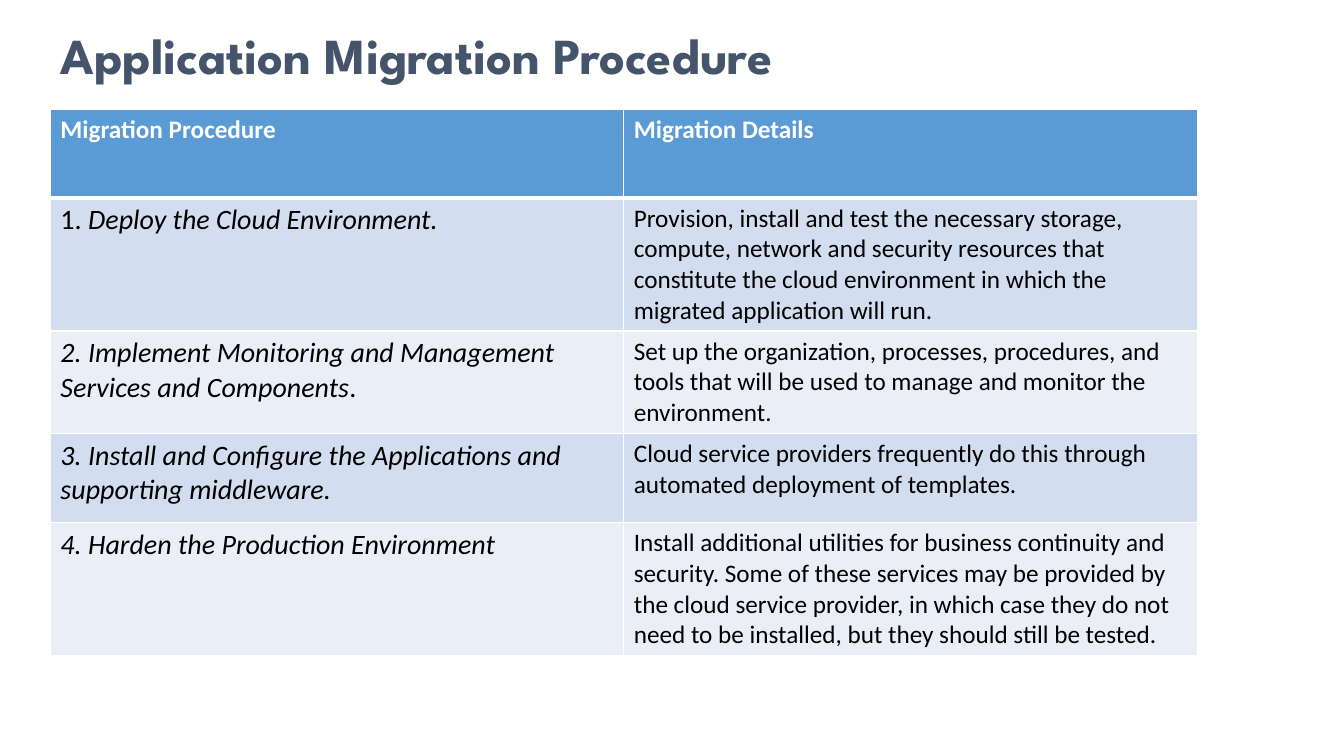
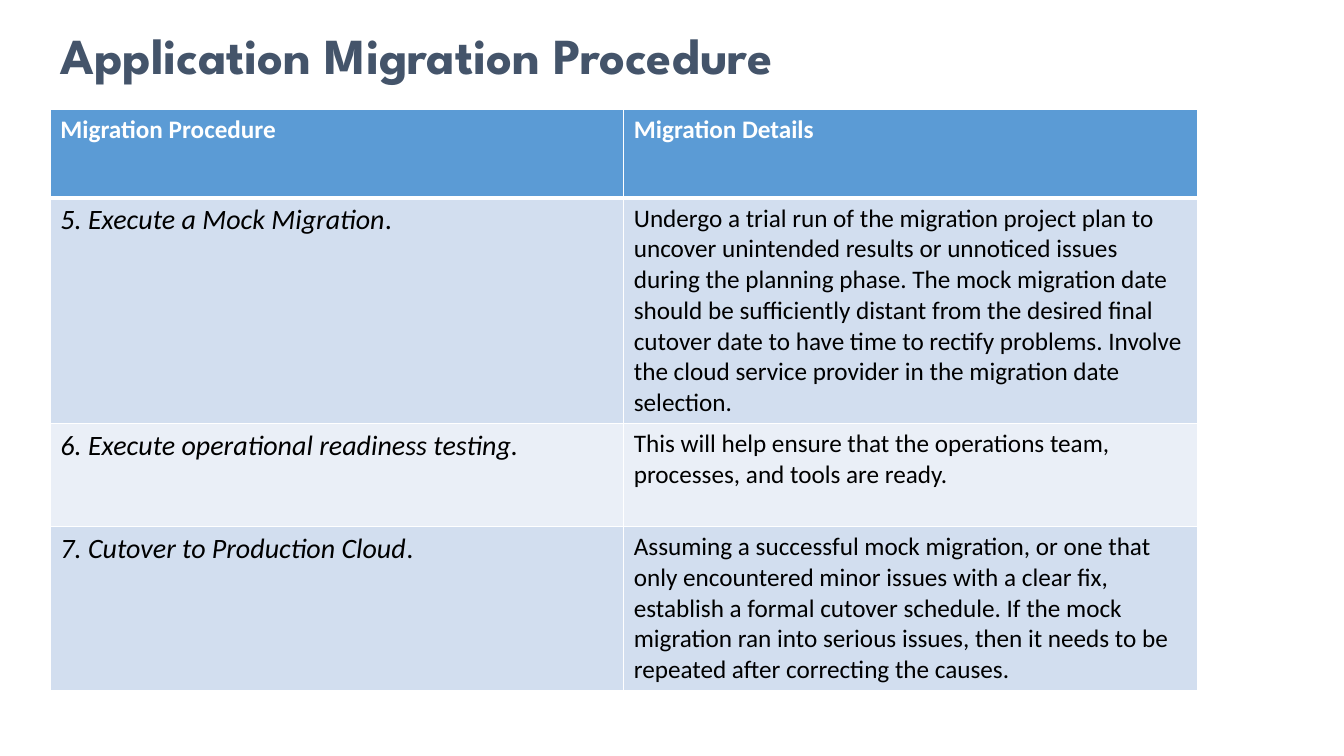
from dataclasses import dataclass

from lxml import etree
from pptx import Presentation
from pptx.dml.color import RGBColor
from pptx.enum import text
from pptx.oxml import ns
from pptx.util import Cm, Pt

# Shared look
SLATE = RGBColor(0x44, 0x54, 0x6A)
BLUE = RGBColor(0x5B, 0x9B, 0xD5)
BAND_DARK = RGBColor(0xD2, 0xDE, 0xEF)
BAND_LIGHT = RGBColor(0xEA, 0xEF, 0xF7)
WHITE = RGBColor(0xFF, 0xFF, 0xFF)
BLACK = RGBColor(0, 0, 0)
TITLE_FONT, BODY_FONT = "League Spartan", "Calibri"

TITLE = "Application Migration Procedure"
HEADINGS = ("Migration Procedure", "Migration Details")
LEFT, TABLE_TOP = Cm(1.27), Cm(2.75)
COLUMN_WIDTH, ROW_HEIGHT = Cm(14.45), Cm(2.24)
THIN, THICK = Pt(1), Pt(3)


@dataclass(frozen=True)
class Span:
    text: str
    italic: bool = False


@dataclass(frozen=True)
class Step:
    name: tuple[Span, ...]
    details: str
    height: int = ROW_HEIGHT


PAGES = (
    (
        Step((Span("1. "), Span("Deploy the Cloud Environment.", True)),
             "Provision, install and test the necessary storage, compute, network and "
             "security resources that constitute the cloud environment in which the "
             "migrated application will run.", Cm(3.35)),
        Step((Span("2. Implement Monitoring and Management Services and Components", True),
              Span(".")),
             "Set up the organization, processes, procedures, and tools that will be "
             "used to manage and monitor the environment.", Cm(2.59)),
        Step((Span("3. Install and Configure the Applications and supporting middleware.", True),),
             "Cloud service providers frequently do this through automated deployment "
             "of templates."),
        Step((Span("4. Harden the Production Environment", True),),
             "Install additional utilities for business continuity and security. Some of "
             "these services may be provided by the cloud service provider, in which case "
             "they do not need to be installed, but they should still be tested.", Cm(3.35)),
    ),
    (
        Step((Span("5. Execute a Mock Migration", True), Span(".")),
             "Undergo a trial run of the migration project plan to uncover unintended "
             "results or unnoticed issues during the planning phase. The mock migration "
             "date should be sufficiently distant from the desired final cutover date to "
             "have time to rectify problems. Involve the cloud service provider in the "
             "migration date selection.", Cm(5.69)),
        Step((Span("6. Execute operational readiness testing.", True),),
             "This will help ensure that the operations team, processes, and tools are "
             "ready.", Cm(2.59)),
        Step((Span("7. Cutover to Production Cloud", True), Span(".")),
             "Assuming a successful mock migration, or one that only encountered minor "
             "issues with a clear fix, establish a formal cutover schedule. If the mock "
             "migration ran into serious issues, then it needs to be repeated after "
             "correcting the causes.", Cm(4.14)),
    ),
)


def style_font(para, name: str, size: int, color: RGBColor, bold: bool = False) -> None:
    font = para.font
    font.name, font.size, font.bold = name, Pt(size), bold
    font.color.rgb = color


def add_borders(cell, top: int, bottom: int) -> None:
    """Draw white lines on all four sides of a cell."""
    properties = cell._tc.get_or_add_tcPr()
    for side, width in (("L", THIN), ("R", THIN), ("T", top), ("B", bottom)):
        line = etree.SubElement(properties, ns.qn(f"a:ln{side}"), w=str(int(width)))
        fill = etree.SubElement(line, ns.qn("a:solidFill"))
        etree.SubElement(fill, ns.qn("a:srgbClr"), val=str(WHITE))


def fill_cell(cell, spans: tuple[Span, ...], size: int, color: RGBColor,
              background: RGBColor, bold: bool = False,
              top: int = THIN, bottom: int = THIN) -> None:
    add_borders(cell, top, bottom)
    cell.fill.solid()
    cell.fill.fore_color.rgb = background
    para = cell.text_frame.paragraphs[0]
    style_font(para, BODY_FONT, size, color, bold)
    for span in spans:
        run = para.add_run()
        run.text = span.text
        # Table cells ignore paragraph defaults in some viewers
        style_font(run, BODY_FONT, size, color, bold)
        run.font.italic = span.italic


def add_title(page) -> None:
    box = page.shapes.add_textbox(LEFT, 0, Cm(30.71), TABLE_TOP)
    frame = box.text_frame
    frame.word_wrap = True
    frame.vertical_anchor = text.MSO_ANCHOR.MIDDLE
    frame.margin_left = frame.margin_right = Cm(0.25)
    frame.margin_top = frame.margin_bottom = Cm(0.25)
    para = frame.paragraphs[0]
    para.text = TITLE
    style_font(para, TITLE_FONT, 36, SLATE, True)


def add_steps(page, steps: tuple[Step, ...]) -> None:
    height = ROW_HEIGHT + sum(step.height for step in steps)
    table = page.shapes.add_table(len(steps) + 1, len(HEADINGS), LEFT, TABLE_TOP,
                                  COLUMN_WIDTH * len(HEADINGS), height).table

    # Header row
    table.rows[0].height = ROW_HEIGHT
    for column, heading in enumerate(HEADINGS):
        fill_cell(table.cell(0, column), (Span(heading),), 18, WHITE, BLUE,
                  bold=True, bottom=THICK)

    # Banded step rows
    for row, step in enumerate(steps, start=1):
        table.rows[row].height = step.height
        band = BAND_DARK if row % 2 else BAND_LIGHT
        top = THICK if row == 1 else THIN
        fill_cell(table.cell(row, 0), step.name, 20, BLACK, band, top=top)
        fill_cell(table.cell(row, 1), (Span(step.details),), 18, BLACK, band, top=top)


def main() -> None:
    deck = Presentation()
    deck.slide_width, deck.slide_height = Cm(33.87), Cm(19.05)
    for steps in PAGES:
        page = deck.slides.add_slide(deck.slide_layouts[6])
        add_title(page)
        add_steps(page, steps)
    deck.save("out.pptx")


if __name__ == "__main__":
    main()
